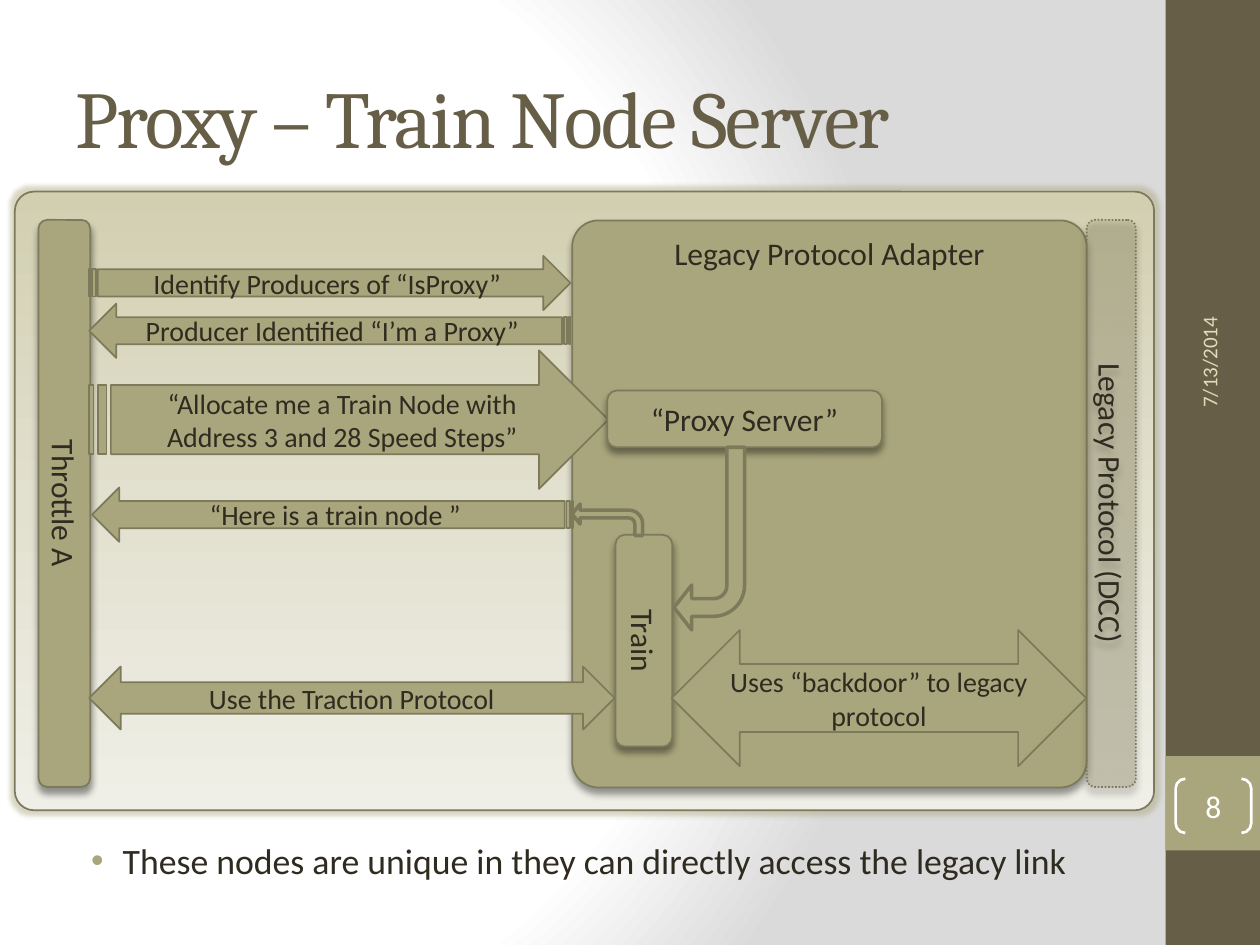
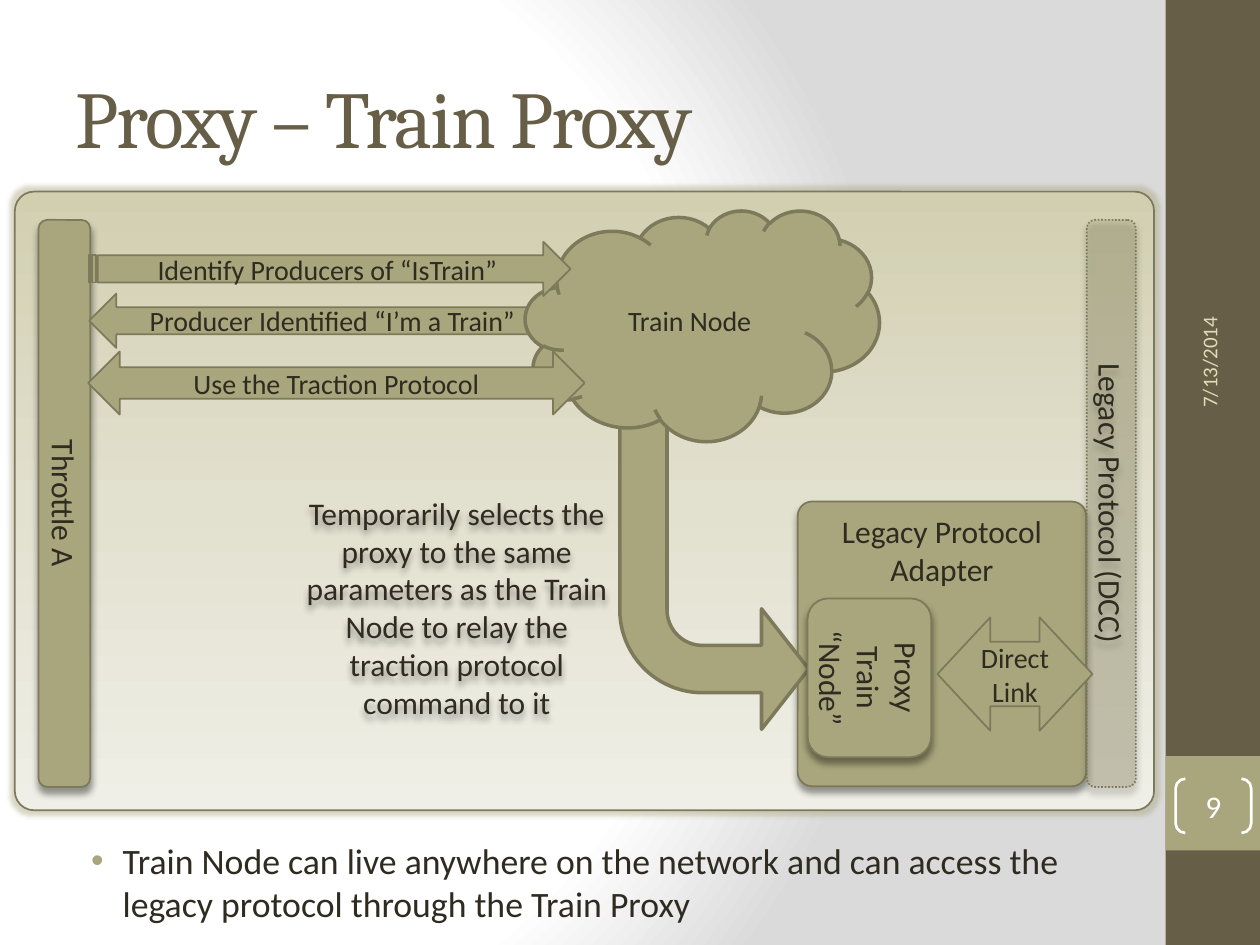
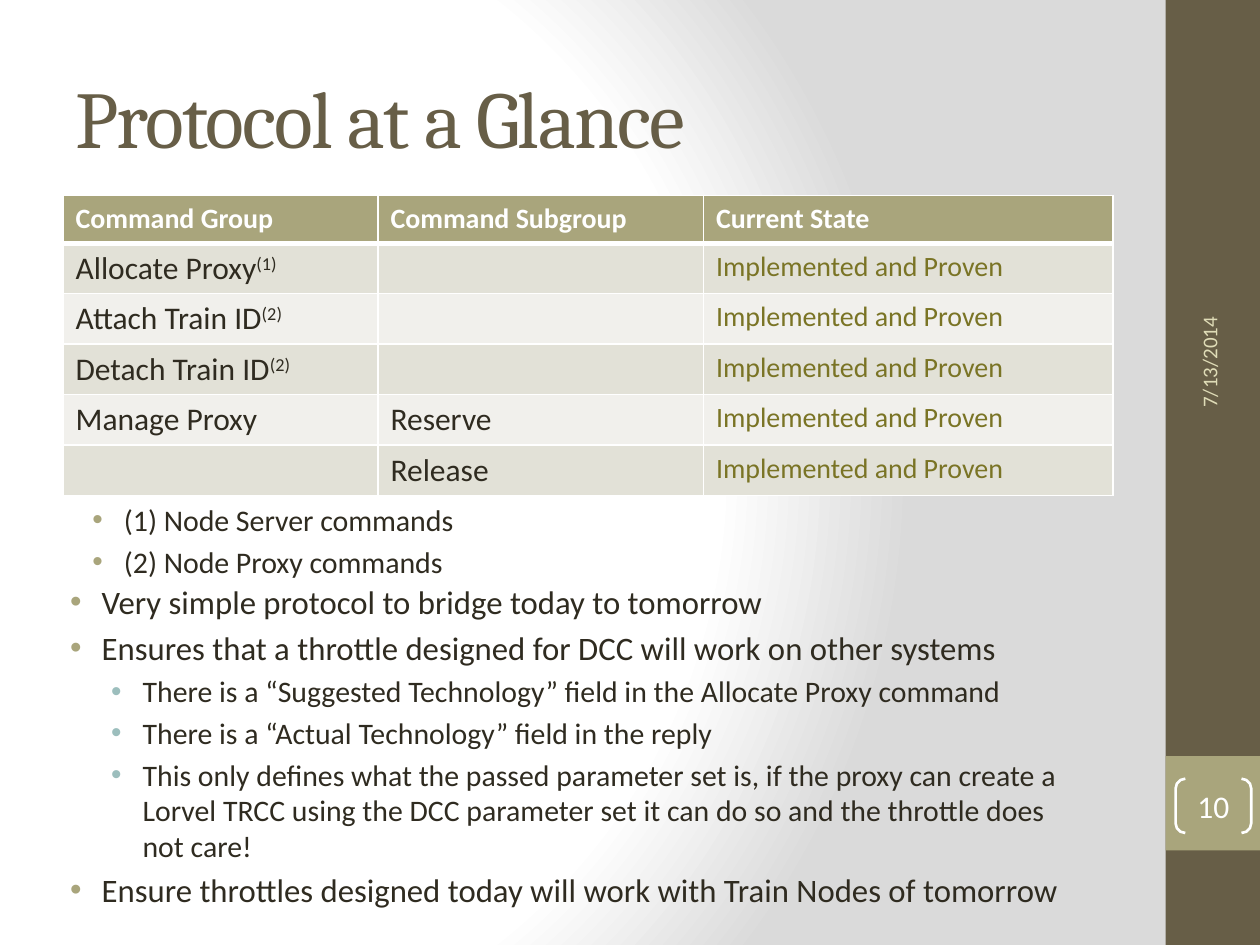
from pptx import Presentation
from pptx.dml.color import RGBColor
from pptx.enum.dml import MSO_LINE_DASH_STYLE as DASH
from pptx.enum.shapes import MSO_SHAPE as SHAPE
from pptx.enum.text import MSO_ANCHOR as ANCHOR, PP_ALIGN as ALIGN
from pptx.oxml import parse_xml
from pptx.oxml.ns import nsdecls, qn
from pptx.util import Pt

# Colours and fonts
INK = RGBColor(0x2F, 0x2B, 0x20)
BROWN = RGBColor(0x67, 0x5E, 0x47)
OLIVE = RGBColor(0xA9, 0xA5, 0x7C)
OUTLINE = RGBColor(0x7D, 0x7A, 0x5C)
TEAL = RGBColor(0x9C, 0xBE, 0xBD)
SAND = RGBColor(0xDF, 0xDC, 0xB7)
STATE = RGBColor(0x7A, 0x74, 0x25)
WHITE = RGBColor(0xFF, 0xFF, 0xFF)
ROW_FILLS = RGBColor(0xE2, 0xE1, 0xD7), RGBColor(0xF1, 0xF0, 0xEC)
BACKDROP_STOPS = (0, "FFFFFF"), (75, "FFFFFF"), (100, "DADADA")
PANEL_STOPS = (0, "D2CFB1"), (50, "E2E0CE"), (100, "F0EFE7")
TITLE_FONT, BODY_FONT = "Cambria", "Calibri"

# Frames shared by the slides: left, top, width, height in points
TITLE_BOX = (36, 21.6, 600, 90)
BODY_BOX = (36, 476, 600, 46)
PANEL_BOX = (8.5, 109.5, 651, 353.5)
THROTTLE_BOX = (22, 125.7, 29.5, 324)
LEGACY_BOX = (621, 125.7, 28, 324)
ARROW_LEFT, ARROW_WIDTH, ARROW_HEIGHT = 51, 275, 31
BEND = (0.25, 0.319, 0.25, 0.438)
DATE = "7/13/2014"


# Diagram parts: kind, frame, text paragraphs, options
def message(top, text, left=ARROW_LEFT, flip=""):
    frame = (left, top, ARROW_WIDTH, ARROW_HEIGHT)
    return "message", frame, [text], {"flip": flip}


THROTTLE = ("box", THROTTLE_BOX, ["Throttle A"], {"rotation": 90})
LEGACY = ("box", LEGACY_BOX, ["Legacy Protocol (DCC)"],
          {"rotation": 90, "ghost": True})
ADAPTER_LABEL = ["Legacy Protocol Adapter"]
ADAPTER_STYLE = {"adjust": (0.051,), "anchor": ANCHOR.TOP}
TRACTION = ["Use the Traction Protocol"]

SERVER_PARTS = [
    THROTTLE,
    ("box", (327, 126, 294, 324), ADAPTER_LABEL, ADAPTER_STYLE),
    message(146.2, "Identify Producers of “IsProxy”"),
    message(173.5, "Producer Identified “I’m a Proxy”", flip="H"),
    ("message", (51, 200.2, 296.6, 79.2),
     ["“Allocate me a Train Node with", "Address 3 and 28 Speed Steps”"], {}),
    message(278.6, "“Here is a train node ”", left=52.6, flip="H"),
    LEGACY,
    ("box", (351.7, 305.6, 32.4, 121), ["Train"], {"rotation": 90}),
    ("box", (347, 223.2, 157, 32.4), ["“Proxy Server”"], {}),
    ("bend", (327, 288, 40.3, 18), [], {"flip": "H", "adjust": BEND}),
    ("link", (51, 380.9, 300.2, 36), TRACTION, {}),
    ("bend", (385.2, 255.6, 40.3, 104.4), [], {"flip": "HV", "adjust": BEND}),
    ("link", (383.8, 360, 236.9, 77.8),
     ["Uses “backdoor” to legacy protocol"], {}),
]

PROXY_PARTS = [
    THROTTLE,
    ("box", (455.8, 286.6, 164.9, 162.7), ADAPTER_LABEL, ADAPTER_STYLE),
    LEGACY,
    ("bend", (354.2, 228.2, 108, 188.6), [], {"flip": "V", "adjust": BEND}),
    message(167.8, "Producer Identified “I’m a Train”", flip="H"),
    ("cloud", (300.2, 120.2, 202.3, 131.8), ["Train Node"], {}),
    message(138.2, "Identify Producers of “IsTrain”"),
    ("link", (50.4, 200.9, 283.7, 36), TRACTION, {}),
    ("box", (461.5, 342, 70.6, 90.7), ["Proxy", "Train", "“Node”"],
     {"rotation": 90}),
    ("link", (535.7, 352.8, 88.6, 64.8), ["Direct", "Link"],
     {"adjust": (0.567, 0.466)}),
]
RELAY_BOX = (162, 278.6, 198, 138.2)
RELAY_NOTE = ["Temporarily selects the proxy to the same parameters as the Train",
              "Node to relay the traction protocol command to it"]

# Kind: preset, text size, line width, has shadow
KINDS = {
    "box": (SHAPE.ROUNDED_RECTANGLE, 18, 1, True),
    "message": (SHAPE.STRIPED_RIGHT_ARROW, 16, 1, False),
    "link": (SHAPE.LEFT_RIGHT_ARROW, 16, 1, False),
    "bend": (SHAPE.BENT_ARROW, 16, 2, False),
    "cloud": (SHAPE.CLOUD, 16, 2, False),
}

# Bullets: level, size, text
SERVER_BULLETS = [
    (0, 20.4, "These nodes are unique in they can directly access the legacy link")]
PROXY_BULLETS = [
    (0, 20.4, "Train Node can live anywhere on the network and can access the "
              "legacy protocol through the Train Proxy")]
FOOTNOTES = [(0, 17.1, "(1) Node Server commands"),
             (0, 17.1, "(2) Node Proxy commands")]
SUMMARY = [
    (0, 18.7, "Very simple protocol to bridge today to tomorrow"),
    (0, 18.7, "Ensures that a throttle designed for DCC will work on other systems"),
    (1, 17, "There is a “Suggested Technology” field in the Allocate Proxy command"),
    (1, 17, "There is a “Actual Technology” field in the reply"),
    (1, 17, "This only defines what the passed parameter set is, if the proxy can "
            "create a Lorvel TRCC using the DCC parameter set it can do so and the "
            "throttle does not care!"),
    (0, 18.7, "Ensure throttles designed today will work with Train Nodes of tomorrow"),
]
BULLET_LEVELS = [(27, OLIVE), (50.4, TEAL)]
BULLET_HANG = 18

# Command table: group, footnote mark, subgroup
HEADINGS = ["Command Group", "Command Subgroup", "Current State"]
COMMANDS = [("Allocate Proxy", "(1)", ""), ("Attach Train ID", "(2)", ""),
            ("Detach Train ID", "(2)", ""), ("Manage Proxy", "", "Reserve"),
            ("", "", "Release")]
COMMAND_STATE = "Implemented and Proven"
TABLE_LEFT, TABLE_TOP, ROW_HEIGHT = 36, 111.6, 27.4
COLUMN_WIDTHS = [180, 186, 234]


# Helpers
def points(frame):
    return [Pt(value) for value in frame]


def add_run(paragraph, text, size, color=INK, font=BODY_FONT, bold=False):
    run = paragraph.add_run()
    run.text = text
    run.font.size, run.font.name, run.font.bold = Pt(size), font, bold
    run.font.color.rgb = color
    return run


def paragraphs_for(text_frame, items):
    for index, item in enumerate(items):
        yield (text_frame.add_paragraph() if index
               else text_frame.paragraphs[0]), item


def add_text_box(slide, frame, anchor=ANCHOR.TOP):
    box = slide.shapes.add_textbox(*points(frame))
    box.text_frame.word_wrap = True
    box.text_frame.vertical_anchor = anchor
    return box


def write_centred(text_frame, lines, size, color=INK):
    for paragraph, line in paragraphs_for(text_frame, lines):
        paragraph.alignment = ALIGN.CENTER
        add_run(paragraph, line, size, color)


def gradient(stops, direction):
    marks = "".join(f'<a:gs pos="{position * 1000}"><a:srgbClr val="{color}"/></a:gs>'
                    for position, color in stops)
    return (f'<a:gradFill {nsdecls("a")} rotWithShape="1">'
            f'<a:gsLst>{marks}</a:gsLst>{direction}</a:gradFill>')


def add_effect(shape, xml):
    shape.shadow.inherit = False
    shape._element.spPr.find(qn("a:effectLst")).append(parse_xml(xml))


def add_shadow(shape):
    add_effect(shape, f'<a:outerShdw {nsdecls("a")} blurRad="50800" dist="38100" '
                      'dir="5400000" rotWithShape="0"><a:srgbClr val="000000">'
                      '<a:alpha val="40000"/></a:srgbClr></a:outerShdw>')


def add_plain(slide, preset, frame, fill=None, line=None, width=1):
    shape = slide.shapes.add_shape(preset, *points(frame))
    shape.shadow.inherit = False
    if fill is None:
        shape.fill.background()
    else:
        shape.fill.solid()
        shape.fill.fore_color.rgb = fill
    if line is None:
        shape.line.fill.background()
    else:
        shape.line.color.rgb = line
        shape.line.width = Pt(width)
    return shape


def turned(frame):
    """Unrotated frame of a part that fills the given frame after a quarter turn."""
    left, top, width, height = frame
    shift = (width - height) / 2
    return left + shift, top - shift, height, width


def add_part(slide, kind, frame, lines, options):
    preset, size, width, has_shadow = KINDS[kind]
    rotation = options.get("rotation", 0)
    shape = add_plain(slide, preset, turned(frame) if rotation else frame,
                      OLIVE, OUTLINE, width)
    shape.rotation = rotation
    for index, value in enumerate(options.get("adjust", ())):
        shape.adjustments[index] = value
    properties = shape._element.spPr
    for axis in options.get("flip", ""):
        properties.find(qn("a:xfrm")).set("flip" + axis, "1")
    if options.get("ghost"):
        color = properties.find(qn("a:solidFill")).find(qn("a:srgbClr"))
        color.append(parse_xml(f'<a:alpha {nsdecls("a")} val="35000"/>'))
        shape.line.dash_style = DASH.ROUND_DOT
    if has_shadow:
        add_shadow(shape)
    shape.text_frame.vertical_anchor = options.get("anchor", ANCHOR.MIDDLE)
    write_centred(shape.text_frame, lines, size)


def add_panel(slide):
    panel = add_plain(slide, SHAPE.ROUNDED_RECTANGLE, PANEL_BOX, OLIVE, OUTLINE)
    panel.adjustments[0] = 0.031
    properties = panel._element.spPr
    properties.replace(properties.find(qn("a:solidFill")), parse_xml(
        gradient(PANEL_STOPS, '<a:lin ang="5400000" scaled="0"/>')))
    add_effect(panel, f'<a:glow {nsdecls("a")} rad="63500"><a:srgbClr val="A9A57C">'
                      '<a:alpha val="45000"/></a:srgbClr></a:glow>')


def add_bullets(slide, frame, bullets):
    box = add_text_box(slide, frame)
    for paragraph, (level, size, text) in paragraphs_for(box.text_frame, bullets):
        margin, color = BULLET_LEVELS[level]
        paragraph.level = level
        paragraph.space_before = Pt(0.2 * size)
        properties = paragraph._p.get_or_add_pPr()
        properties.set("marL", str(Pt(margin)))
        properties.set("indent", str(-Pt(BULLET_HANG)))
        for xml in (f'<a:buClr {nsdecls("a")}><a:srgbClr val="{color}"/></a:buClr>',
                    f'<a:buFont {nsdecls("a")} typeface="Arial"/>',
                    f'<a:buChar {nsdecls("a")} char="•"/>'):
            properties.append(parse_xml(xml))
        add_run(paragraph, text, size)


def add_borders(cell, bottom):
    properties = cell._tc.get_or_add_tcPr()
    for index, (side, width) in enumerate(
            [("L", 1), ("R", 1), ("T", 1), ("B", bottom)]):
        properties.insert(index, parse_xml(
            f'<a:ln{side} {nsdecls("a")} w="{Pt(width)}"><a:solidFill>'
            f'<a:srgbClr val="{WHITE}"/></a:solidFill></a:ln{side}>'))


def add_command_table(slide):
    rows = len(COMMANDS) + 1
    frame = (TABLE_LEFT, TABLE_TOP, sum(COLUMN_WIDTHS), rows * ROW_HEIGHT)
    table = slide.shapes.add_table(rows, len(HEADINGS), *points(frame)).table
    for column, width in zip(table.columns, COLUMN_WIDTHS):
        column.width = Pt(width)
    for index, row in enumerate(table.rows):
        row.height = Pt(ROW_HEIGHT)
        for cell in row.cells:
            cell.fill.solid()
            cell.fill.fore_color.rgb = ROW_FILLS[(index - 1) % 2] if index else OLIVE
            add_borders(cell, 1 if index else 3)
    for column, heading in enumerate(HEADINGS):
        paragraph = table.cell(0, column).text_frame.paragraphs[0]
        add_run(paragraph, heading, 16, WHITE, bold=True)
    for index, (group, mark, subgroup) in enumerate(COMMANDS, 1):
        group_cell, subgroup_cell, state_cell = [
            cell.text_frame.paragraphs[0] for cell in table.rows[index].cells]
        if group:
            add_run(group_cell, group, 18)
        if mark:
            run = add_run(group_cell, mark, 18)
            run.font._element.set("baseline", "30000")
        if subgroup:
            add_run(subgroup_cell, subgroup, 18)
        add_run(state_cell, COMMAND_STATE, 16, STATE)


def start_slide(presentation, title, number):
    slide = presentation.slides.add_slide(presentation.slide_layouts[6])
    # Backdrop and side band
    direction = ('<a:path path="circle"><a:fillToRect l="20000" t="50000" '
                 'r="100000" b="50000"/></a:path>')
    slide._element.cSld.insert(0, parse_xml(
        f'<p:bg {nsdecls("p", "a")}><p:bgPr>{gradient(BACKDROP_STOPS, direction)}'
        '<a:effectLst/></p:bgPr></p:bg>'))
    add_plain(slide, SHAPE.RECTANGLE, (666, 0, 54, 540), BROWN)
    add_plain(slide, SHAPE.RECTANGLE, (666, 432, 54, 54), OLIVE)
    # Title
    box = add_text_box(slide, TITLE_BOX, ANCHOR.MIDDLE)
    run = add_run(box.text_frame.paragraphs[0], title, 46, BROWN, TITLE_FONT)
    run.font._element.set("spc", "-100")
    # Date and slide number
    date = add_text_box(slide, turned((676.4, 48, 28.8, 192)), ANCHOR.MIDDLE)
    date.rotation = 270
    add_run(date.text_frame.paragraphs[0], DATE, 12, SAND)
    bracket = add_plain(slide, SHAPE.DOUBLE_BRACKET, (671.8, 445, 43.2, 31),
                        line=WHITE, width=1.5)
    bracket.adjustments[0] = 0.179
    text_frame = bracket.text_frame
    text_frame.margin_left = text_frame.margin_right = 0
    text_frame.margin_top = text_frame.margin_bottom = 0
    write_centred(text_frame, [str(number)], 18, WHITE)
    return slide


def add_diagram_slide(presentation, title, number, bullets, parts):
    slide = start_slide(presentation, title, number)
    add_bullets(slide, BODY_BOX, bullets)
    add_panel(slide)
    for part in parts:
        add_part(slide, *part)
    return slide


presentation = Presentation()
presentation.slide_width, presentation.slide_height = Pt(720), Pt(540)

# Train node server
add_diagram_slide(presentation, "Proxy – Train Node Server", 8,
                  SERVER_BULLETS, SERVER_PARTS)

# Train proxy, with the note beside the bent arrow
proxy_slide = add_diagram_slide(presentation, "Proxy – Train Proxy", 9,
                                PROXY_BULLETS, PROXY_PARTS)
relay = add_text_box(proxy_slide, RELAY_BOX)
add_shadow(relay)
write_centred(relay.text_frame, RELAY_NOTE, 18)

# Protocol table and summary
glance_slide = start_slide(presentation, "Protocol at a Glance", 10)
add_command_table(glance_slide)
add_bullets(glance_slide, (36.7, 283, 600, 46), FOOTNOTES)
add_bullets(glance_slide, (24, 329, 600, 193), SUMMARY)

presentation.save("out.pptx")
